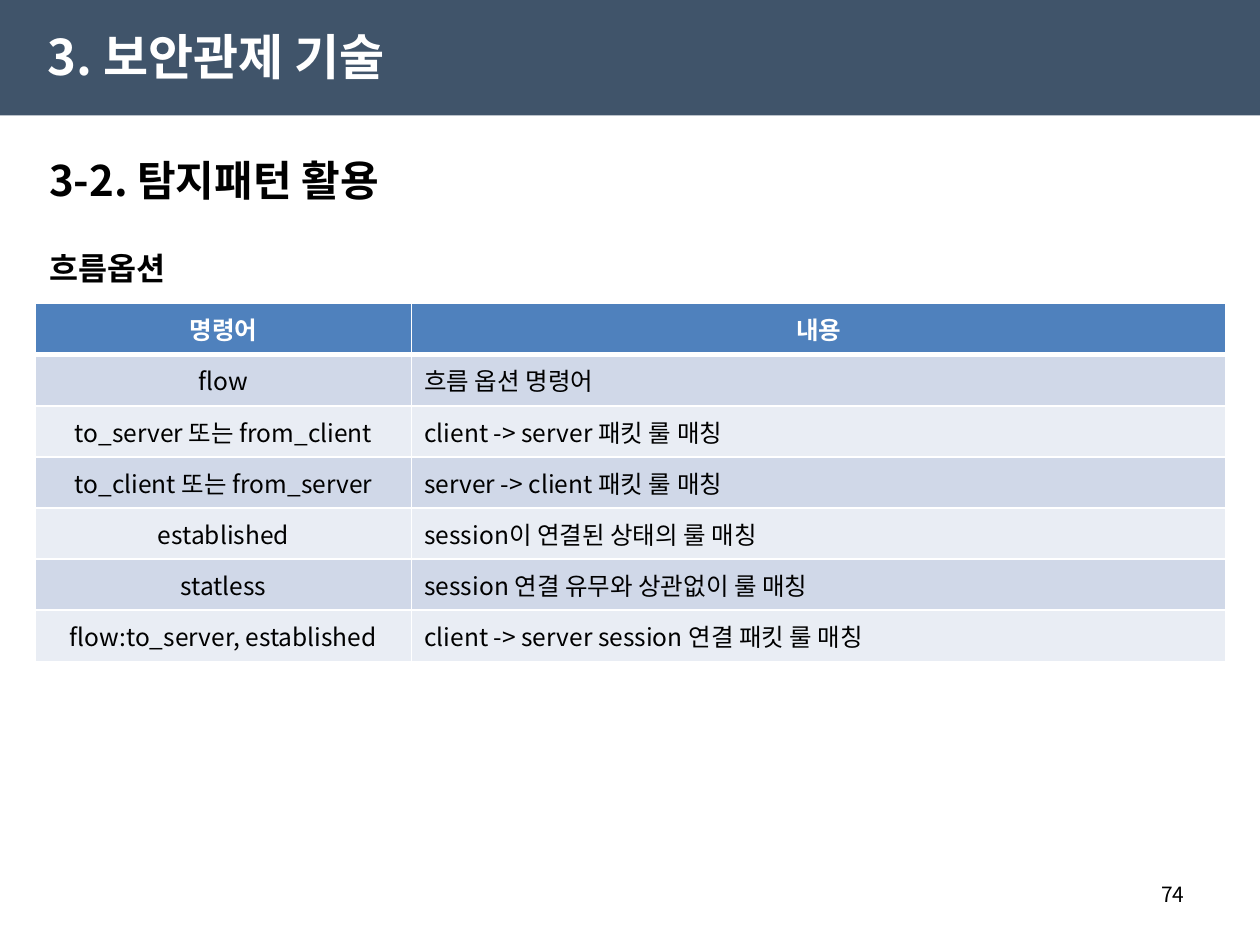
from lxml import etree
from pptx import Presentation
from pptx.dml.color import RGBColor
from pptx.enum.shapes import MSO_SHAPE
from pptx.enum.text import MSO_ANCHOR, PP_ALIGN
from pptx.oxml.ns import qn
from pptx.util import Cm, Pt

RECTANGLE = MSO_SHAPE.RECTANGLE
TOP, MIDDLE = MSO_ANCHOR.TOP, MSO_ANCHOR.MIDDLE
LEFT, CENTER, RIGHT = PP_ALIGN.LEFT, PP_ALIGN.CENTER, PP_ALIGN.RIGHT

COLORS = {
    "banner": "40546A",
    "header": "4F81BD",
    "odd_row": "D0D8E8",
    "even_row": "E9EDF4",
    "white": "FFFFFF",
    "black": "000000",
}
FLOW_OPTIONS = [
    ("명령어", "내용"),
    ("flow", "흐름 옵션 명령어"),
    ("to_server 또는 from_client", "client -> server 패킷 룰 매칭"),
    ("to_client 또는 from_server", "server -> client 패킷 룰 매칭"),
    ("established", "session이 연결된 상태의 룰 매칭"),
    ("statless", "session 연결 유무와 상관없이 룰 매칭"),
    ("flow:to_server, established", "client -> server session 연결 패킷 룰 매칭"),
]


def rgb(name):
    return RGBColor.from_string(COLORS[name])


class SlideBuilder:
    """Holds the typeface and the page that elements are added to."""

    typeface = "Noto Sans CJK KR"

    def __init__(self, page):
        self.page = page

    def fill_frame(self, frame, text, size, color="black", bold=False,
                   **para_format):
        para = frame.paragraphs[0]
        for name, value in para_format.items():
            setattr(para, name, value)
        span = para.add_run()
        span.text = text
        font_format = {"size": Pt(size), "bold": bold, "name": self.typeface}
        for name, value in font_format.items():
            setattr(span.font, name, value)
        span.font.color.rgb = rgb(color)
        # Hangul takes its typeface from the East Asian font element
        properties = span._r.get_or_add_rPr()
        etree.SubElement(properties, qn("a:ea"), typeface=self.typeface)

    def banner(self, left, top, width, height):
        bar = self.page.shapes.add_shape(
            RECTANGLE, Cm(left), Cm(top), Cm(width), Cm(height))
        bar.shadow.inherit = False
        bar.fill.solid()
        bar.fill.fore_color.rgb = rgb("banner")
        bar.line.fill.background()

    def text(self, bounds, text, size, anchor=MIDDLE, **text_format):
        box = self.page.shapes.add_textbox(*map(Cm, bounds))
        box.text_frame.word_wrap = True
        box.text_frame.vertical_anchor = anchor
        self.fill_frame(box.text_frame, text, size, **text_format)

    def borders(self, cell, bottom_width):
        """Draw white cell edges; they must come before the fill in the XML."""
        properties = cell._tc.get_or_add_tcPr()
        widths = {"a:lnL": 1, "a:lnR": 1, "a:lnT": 1, "a:lnB": bottom_width}
        for position, (tag, width) in enumerate(widths.items()):
            edge = etree.Element(qn(tag), w=str(Pt(width)))
            fill = etree.SubElement(edge, qn("a:solidFill"))
            etree.SubElement(fill, qn("a:srgbClr"), val=COLORS["white"])
            properties.insert(position, edge)

    def table(self, left, top, column_widths, row_height, rows):
        grid = self.page.shapes.add_table(
            len(rows), len(column_widths), Cm(left), Cm(top),
            Cm(sum(column_widths)), Cm(row_height * len(rows))).table
        for column, width in zip(grid.columns, column_widths):
            column.width = Cm(width)
        for row_index, row in enumerate(rows):
            is_header = row_index == 0
            band = "odd_row" if row_index % 2 else "even_row"
            for column_index, text in enumerate(row):
                cell = grid.cell(row_index, column_index)
                cell.vertical_anchor = MIDDLE
                cell.fill.solid()
                cell.fill.fore_color.rgb = rgb("header" if is_header else band)
                self.borders(cell, 3 if is_header else 1)
                centred = is_header or column_index == 0
                self.fill_frame(cell.text_frame, text, 14,
                                color="white" if is_header else "black",
                                bold=is_header,
                                alignment=CENTER if centred else LEFT)


def main():
    deck = Presentation()
    deck.slide_width, deck.slide_height = Cm(25.4), Cm(19.05)
    builder = SlideBuilder(deck.slides.add_slide(deck.slide_layouts[6]))

    builder.banner(0, 0, 25.4, 2.33)
    builder.text((0.71, 0.33, 12, 1.6), "3. 보안관제 기술", 28,
                 color="white", bold=True)
    builder.text((0.74, 2.92, 23.95, 1.4), "3-2. 탐지패턴 활용", 24, bold=True)
    builder.text((0.74, 4.52, 23.95, 1.27), "흐름옵션", 18, anchor=TOP,
                 bold=True, line_spacing=1.5)
    builder.table(0.71, 6.12, (7.59, 16.41), 1.03, FLOW_OPTIONS)
    builder.text((18.21, 17.65, 5.92, 1.02), "74", 12, anchor=TOP,
                 alignment=RIGHT)

    deck.save("out.pptx")


if __name__ == "__main__":
    main()
